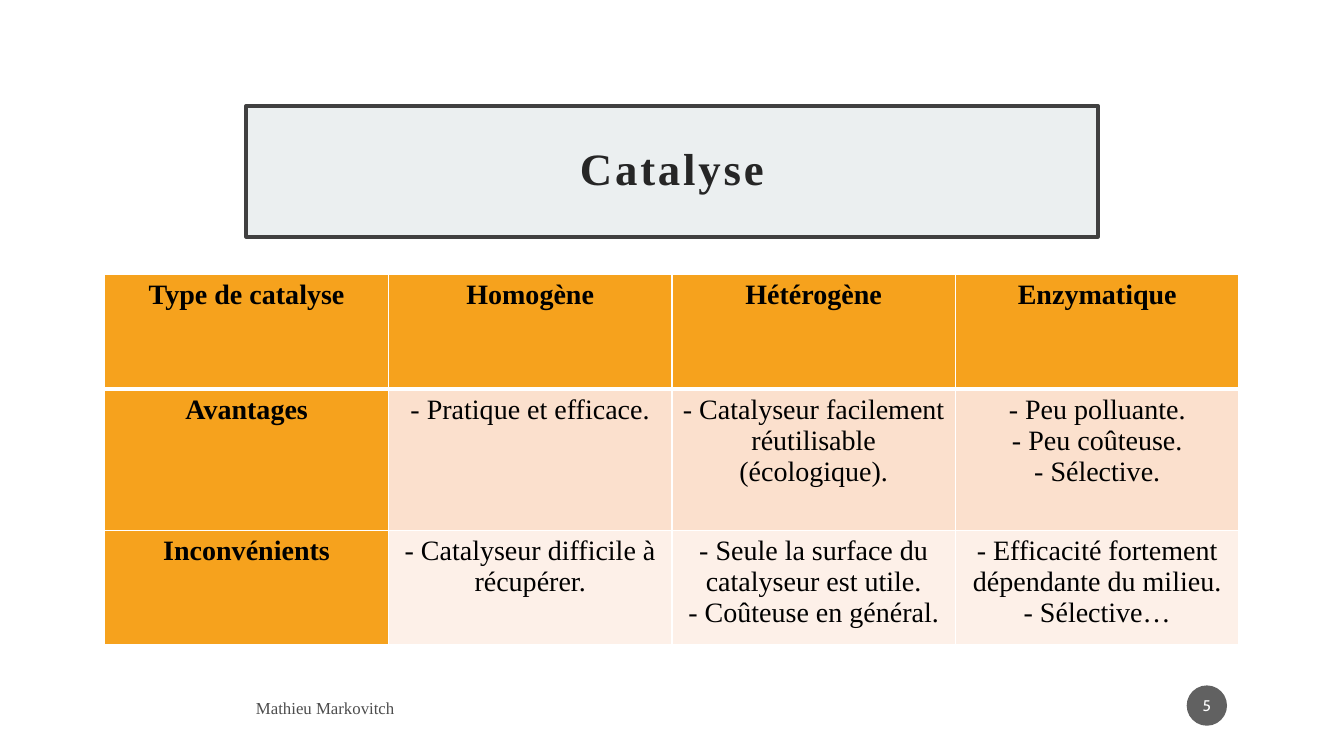
import pptx
import pptx.util
import pptx.dml.color
import pptx.enum.shapes
import pptx.enum.text
import pptx.oxml
import pptx.oxml.ns

Inches = pptx.util.Inches
Pt = pptx.util.Pt
Align = pptx.enum.text.PP_ALIGN
Middle = pptx.enum.text.MSO_ANCHOR.MIDDLE
Shape = pptx.enum.shapes.MSO_SHAPE

COLORS = {
    "panel": "EBEFF0", "frame": "404040", "title": "262626",
    "head": "F6A21D", "odd": "FBE0CD", "even": "FDF0E8",
    "ink": "000000", "white": "FFFFFF", "foot": "4D4D4D", "badge": "616161",
}
SERIF = "Times New Roman"


def tint(name):
    return pptx.dml.color.RGBColor.from_string(COLORS[name])


def write(frame, text, color, align, **font):
    """Fill a text frame, one paragraph per line, with one format."""
    frame.word_wrap = True
    frame.text = text
    for para in frame.paragraphs:
        para.alignment = align
        for run in para.runs:
            run.font.color.rgb = tint(color)
            for key, value in font.items():
                setattr(run.font, key, value)


deck = pptx.Presentation()
deck.slide_width = Inches(13.33)
deck.slide_height = Inches(7.5)
slide = deck.slides.add_slide(deck.slide_layouts[5])
shapes = slide.shapes

# Title
title = shapes.title
place = {"left": 2.44, "top": 1.05, "width": 8.45, "height": 1.3}
for key, value in place.items():
    setattr(title, key, Inches(value))
title.fill.solid()
title.fill.fore_color.rgb = tint("panel")
title.line.color.rgb = tint("frame")
title.line.width = Pt(2.5)
frame = title.text_frame
for side in ("left", "top", "right", "bottom"):
    setattr(frame, "margin_" + side, Inches(0.2))
frame.vertical_anchor = Middle
write(frame, "Catalyse", "title", Align.CENTER, name=SERIF, size=Pt(32), bold=True)
para = frame.paragraphs[0]
para.line_spacing = 0.9
para.runs[0].font._element.set("spc", "200")

# Table
rows = [
    ["Type de catalyse", "Homogène", "Hétérogène", "Enzymatique"],
    ["Avantages", "- Pratique et efficace.",
     "- Catalyseur facilement réutilisable (écologique).",
     "- Peu polluante.\n- Peu coûteuse.\n- Sélective."],
    ["Inconvénients", "- Catalyseur difficile à récupérer.",
     "- Seule la surface du catalyseur est utile.\n- Coûteuse en général.",
     "- Efficacité fortement dépendante du milieu.\n- Sélective…"],
]
fills = ["head", "odd", "even"]
table = shapes.add_table(3, 4, Inches(1.04), Inches(2.72),
                         Inches(11.25), Inches(3.68)).table
for col in table.columns:
    col.width = Inches(11.25 / 4)
for row, height in zip(table.rows, (1.14, 1.4, 1.14)):
    row.height = Inches(height)

for r, texts in enumerate(rows):
    for c, text in enumerate(texts):
        cell = table.cell(r, c)
        head = r == 0 or c == 0
        write(cell.text_frame, text, "ink", Align.CENTER,
              name=SERIF, size=Pt(20), bold=head)
        cell.fill.solid()
        cell.fill.fore_color.rgb = tint("head" if head else fills[r])
        props = cell._tc.get_or_add_tcPr()
        for i, side in enumerate("LRTB"):
            thick = (r, side) in ((0, "B"), (1, "T"))
            props.insert(i, pptx.oxml.parse_xml(
                f'<a:ln{side} {pptx.oxml.ns.nsdecls("a")} w="{Pt(3 if thick else 1)}">'
                f'<a:solidFill><a:srgbClr val="{COLORS["white"]}"/></a:solidFill>'
                f'</a:ln{side}>'))

# Footer
foot = shapes.add_textbox(Inches(2.44), Inches(6.85), Inches(1.72), Inches(0.35))
foot.text_frame.vertical_anchor = Middle
write(foot.text_frame, "Mathieu Markovitch", "foot", Align.LEFT,
      name=SERIF, size=Pt(12))

badge = shapes.add_shape(Shape.OVAL, Inches(11.77), Inches(6.8),
                         Inches(0.4), Inches(0.4))
badge.shadow.inherit = False
badge.fill.solid()
badge.fill.fore_color.rgb = tint("badge")
badge.line.fill.background()
frame = badge.text_frame
frame.margin_left = frame.margin_right = Inches(0.02)
frame.vertical_anchor = Middle
write(frame, "5", "white", Align.CENTER, name="Cabin", size=Pt(11))

deck.save("out.pptx")
